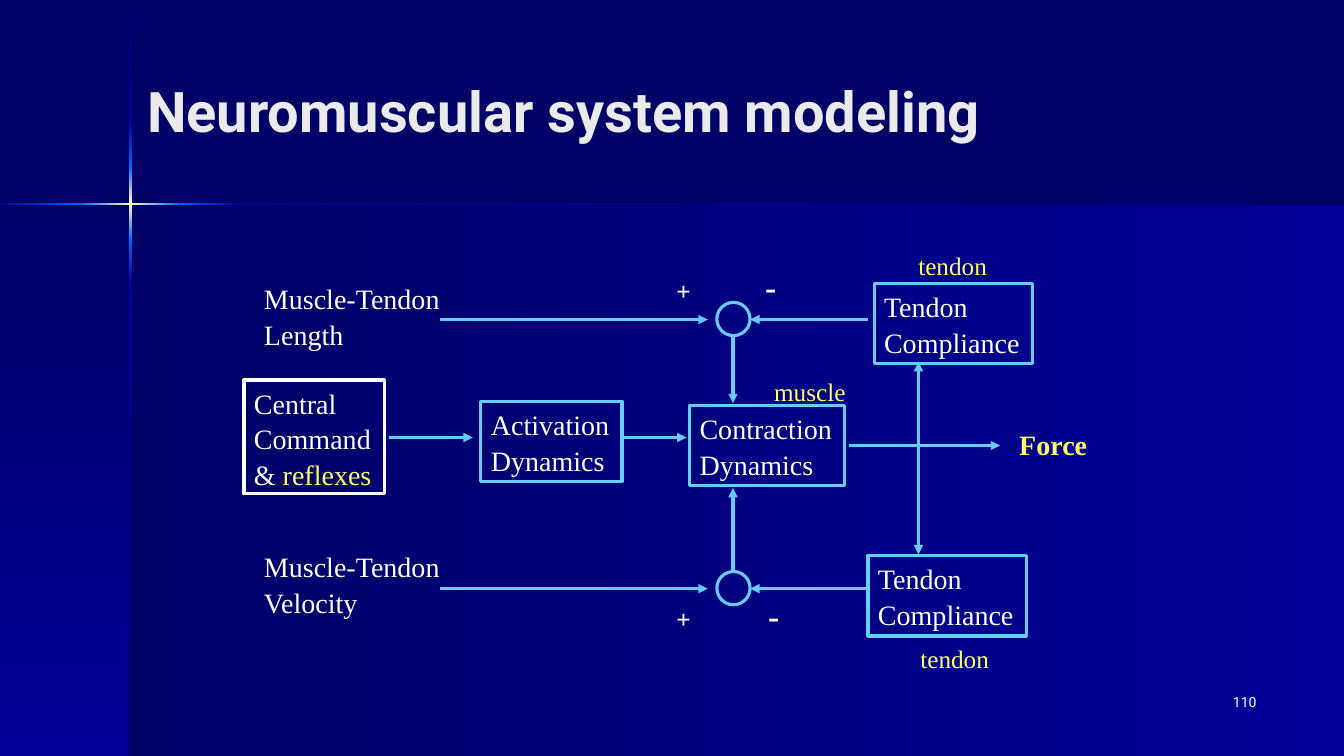
from lxml import etree
from pptx import Presentation
from pptx import util as u
from pptx.dml.color import RGBColor
from pptx.enum import shapes, text
from pptx.oxml.ns import qn

NAVY, BLUE, BRIGHT, CREAM = "000066", "000099", "0066FF", "FFFFCC"
WHITE, YELLOW, CYAN = "FFFFFF", "FFFF66", "66CCFF"
SERIF, SANS = "Times New Roman", "Roboto"

TITLE = "Neuromuscular system modeling"
PAGE_NUMBER = "110"

# Backdrop: left, top, width, height, gradient colours, angle
PANELS = [
    (1.29, 2.02, 12.04, 5.48, (NAVY, BLUE), 0),
    (0, 2.02, 1.29, 5.48, (NAVY, BLUE), 90),
]
# Glowing cross: start, end, gradient colours along each beam
VERTICAL_BEAM = [
    (0.01, 1.21, (NAVY, BLUE)),
    (1.21, 1.65, (BLUE, BRIGHT)),
    (1.65, 2.38, (BRIGHT, CREAM, BRIGHT)),
    (2.38, 2.82, (BRIGHT, BLUE)),
    (2.82, 7.5, (BLUE, NAVY)),
]
HORIZONTAL_BEAM = [
    (0, 0.81, (BLUE, BRIGHT)),
    (0.81, 1.78, (BRIGHT, CREAM, BRIGHT)),
    (1.78, 2.36, (BRIGHT, BLUE)),
    (2.36, 13.33, (BLUE, NAVY)),
]

# Boxes: left, top, width, height, outline, lines (a line is a list of runs)
BOXES = [
    (4.77, 3.98, 1.4, 0.8, CYAN, [["Activation"], ["Dynamics"]]),
    (2.42, 3.77, 1.39, 1.13, WHITE,
     [["Central"], ["Command"], ["&", (" reflexes", YELLOW)]]),
    (6.84, 4.02, 1.54, 0.8, CYAN, [["Contraction"], ["Dynamics"]]),
    (8.67, 2.81, 1.57, 0.8, CYAN, [["Tendon"], ["Compliance"]]),
    (8.61, 5.51, 1.57, 0.8, CYAN, [["Tendon"], ["Compliance"]]),
]

# Summing junctions
JUNCTION_X, JUNCTION_SIZE = 7.11, 0.33
JUNCTION_TOPS = [3.0, 5.67]

# Arrows: start, end, double-headed
ARROWS = [
    ((8.42, 4.42), (9.92, 4.42), False),
    ((9.11, 3.59), (9.11, 5.5), True),
    ((7.27, 3.34), (7.27, 4.0), False),
    ((7.27, 5.67), (7.27, 4.84), False),
    ((3.86, 4.34), (4.69, 4.34), False),
    ((6.19, 4.34), (6.81, 4.34), False),
]
for row_y in (3.17, 5.84):
    ARROWS += [((8.61, row_y), (7.44, row_y), False),
               ((4.36, row_y), (7.02, row_y), False)]

# Labels: left, top, width, height, lines, format
SIGN = dict(size=18, bold=True)
MINUS = dict(size=24, bold=True)
PART = dict(size=18, color=YELLOW)
LABELS = [
    (10.01, 4.18, 0.88, 0.43, [["Force"]], dict(color=YELLOW, bold=True)),
    (2.52, 5.39, 1.96, 0.77, [["Muscle-Tendon"], ["Velocity"]], {}),
    (2.52, 2.73, 1.96, 0.77, [["Muscle-Tendon"], ["Length"]], {}),
    (7.49, 2.57, 0.31, 0.5, [["-"]], MINUS),
    (7.52, 5.83, 0.31, 0.5, [["-"]], MINUS),
    (6.61, 2.67, 0.34, 0.4, [["+"]], SIGN),
    (6.61, 5.92, 0.34, 0.4, [["+"]], SIGN),
    (7.58, 3.67, 0.91, 0.4, [["muscle"]], PART),
    (9.01, 2.42, 0.88, 0.4, [["tendon"]], PART),
    (9.03, 6.32, 0.88, 0.4, [["tendon"]], PART),
]

presentation = Presentation()
presentation.slide_width, presentation.slide_height = u.Inches(13.33), u.Inches(7.5)
slide = presentation.slides.add_slide(presentation.slide_layouts[5])


def rgb(color):
    return RGBColor.from_string(color)


def inches(*lengths):
    return [u.Inches(length) for length in lengths]


def write(shape, lines, size=20, color=WHITE, bold=False, font=SERIF,
          align=text.PP_ALIGN.LEFT, anchor=text.MSO_ANCHOR.TOP, fit=True, spacing=1.05):
    frame = shape.text_frame
    frame.word_wrap = not fit
    frame.auto_size = (text.MSO_AUTO_SIZE.SHAPE_TO_FIT_TEXT if fit
                       else text.MSO_AUTO_SIZE.NONE)
    frame.vertical_anchor = anchor
    for index, line in enumerate(lines):
        paragraph = frame.add_paragraph() if index else frame.paragraphs[0]
        paragraph.alignment = align
        paragraph.line_spacing = spacing
        for part in line:
            words, run_color = part if isinstance(part, tuple) else (part, color)
            run = paragraph.add_run()
            run.text = words
            run.font.name, run.font.size, run.font.bold = font, u.Pt(size), bold
            run.font.color.rgb = rgb(run_color)


def add_gradient(left, top, width, height, colors, angle):
    shape = slide.shapes.add_shape(shapes.MSO_SHAPE.RECTANGLE,
                                   *inches(left, top, width, height))
    shape.shadow.inherit = False
    shape.line.fill.background()
    shape.fill.gradient()
    shape.fill.gradient_angle = -angle % 360
    stops = shape._element.spPr.find(qn("a:gradFill")).find(qn("a:gsLst"))
    for stop in list(stops):
        stops.remove(stop)
    for index, color in enumerate(colors):
        position = 100000 * index // (len(colors) - 1)
        stop = etree.SubElement(stops, qn("a:gs"), pos=str(position))
        etree.SubElement(stop, qn("a:srgbClr"), val=color)


def add_outline(kind, left, top, width, height, color):
    shape = slide.shapes.add_shape(kind, *inches(left, top, width, height))
    shape.shadow.inherit = False
    shape.fill.background()
    shape.line.color.rgb = rgb(color)
    shape.line.width = u.Pt(2.25)
    return shape


def add_arrow(start, end, double):
    arrow = slide.shapes.add_connector(shapes.MSO_CONNECTOR.STRAIGHT,
                                       *inches(*start, *end))
    arrow.line.color.rgb = rgb(CYAN)
    arrow.line.width = u.Pt(2.25)
    line = arrow.line._get_or_add_ln()
    for tag in ("a:headEnd", "a:tailEnd") if double else ("a:tailEnd",):
        etree.SubElement(line, qn(tag), type="triangle")
    etree.SubElement(arrow._element.spPr, qn("a:effectLst"))


# Background and glowing cross
slide.background.fill.solid()
slide.background.fill.fore_color.rgb = rgb(NAVY)
for panel in PANELS:
    add_gradient(*panel)
for start, end, colors in VERTICAL_BEAM:
    add_gradient(1.28, start, 0.03, end - start, colors, 90)
for start, end, colors in HORIZONTAL_BEAM:
    add_gradient(start, 2.01, end - start, 0.02, colors, 0)

# Title and page number
title = slide.shapes.title
title.left, title.top, title.width, title.height = inches(1.36, 0.47, 11.6, 1.25)
write(title, [[TITLE]], size=40, color="EAEAEA", bold=True, font=SANS,
      anchor=text.MSO_ANCHOR.MIDDLE, fit=False, spacing=1.0)
number = slide.shapes.add_textbox(*inches(9.78, 6.83, 2.78, 0.5))
write(number, [[PAGE_NUMBER]], size=10, font=SANS, align=text.PP_ALIGN.RIGHT,
      fit=False, spacing=1.0)

# Diagram
for *place, outline, lines in BOXES:
    write(add_outline(shapes.MSO_SHAPE.RECTANGLE, *place, outline), lines)
for top in JUNCTION_TOPS:
    add_outline(shapes.MSO_SHAPE.OVAL, JUNCTION_X, top, JUNCTION_SIZE, JUNCTION_SIZE, CYAN)
for arrow_ends in ARROWS:
    add_arrow(*arrow_ends)
for *place, lines, style in LABELS:
    write(slide.shapes.add_textbox(*inches(*place)), lines, **style)

presentation.save("out.pptx")
